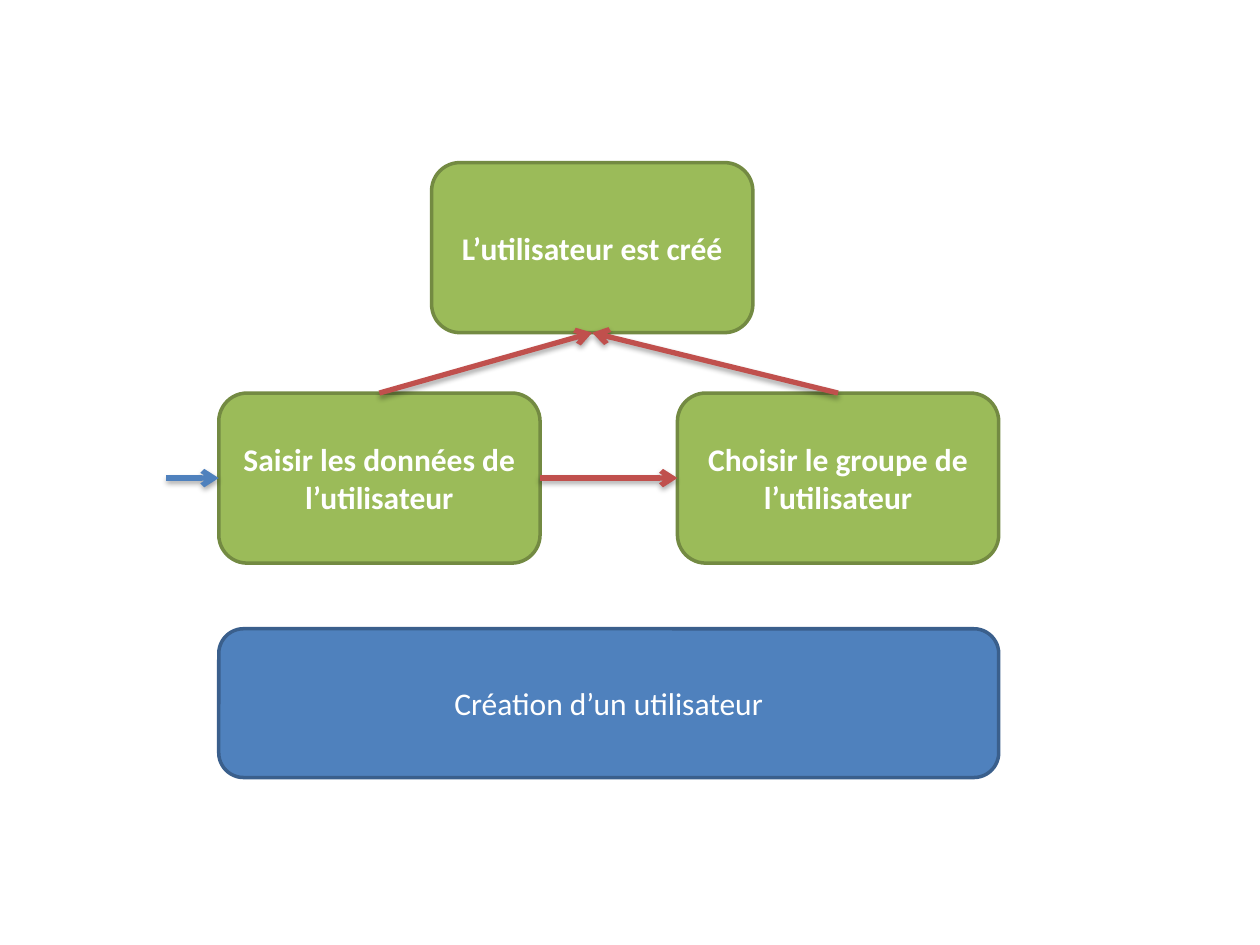
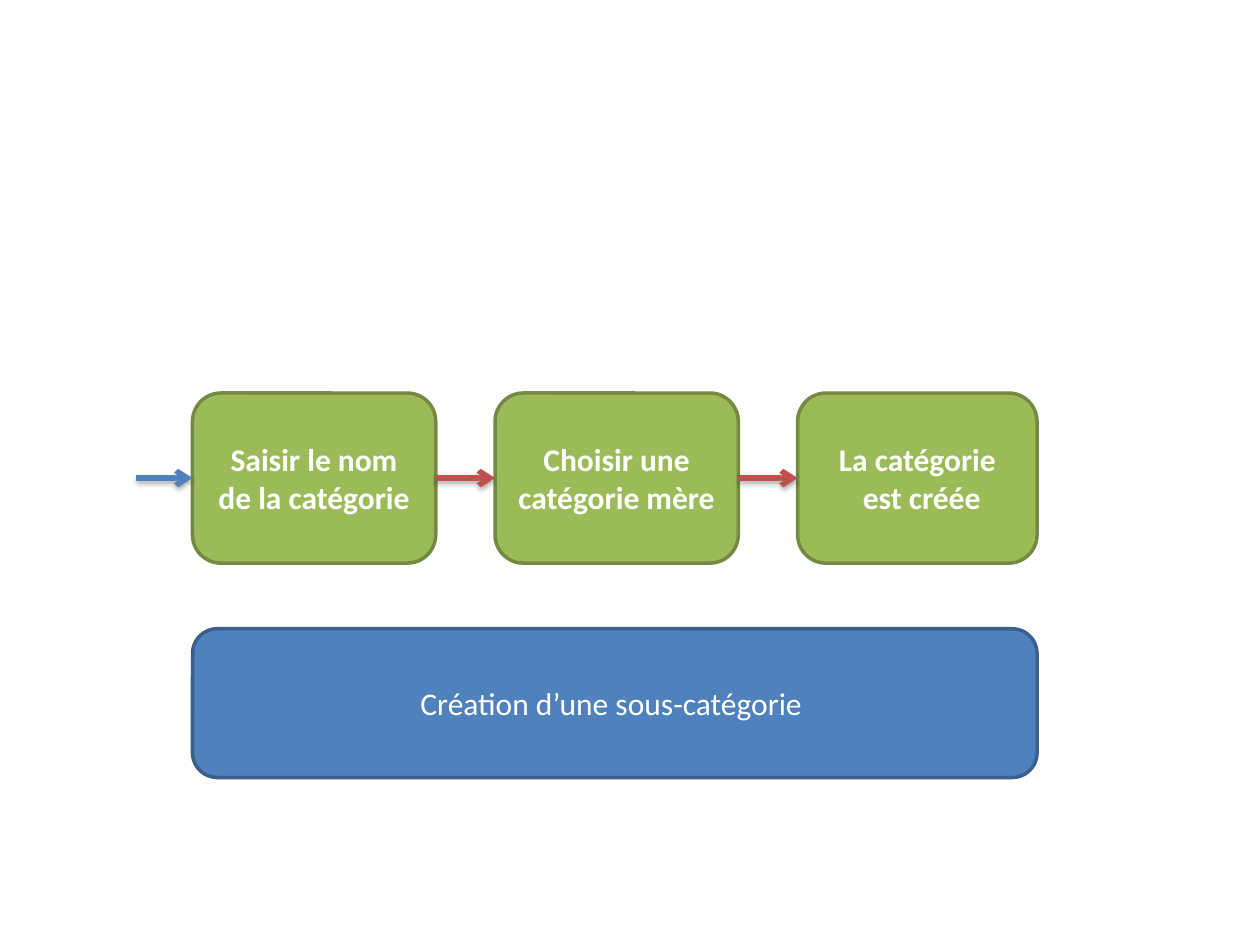
import dataclasses
import pptx
import pptx.dml.color
import pptx.enum.shapes
import pptx.enum.text
import pptx.oxml
import pptx.oxml.ns
import pptx.util

Pt = pptx.util.Pt
TOP, LEFT, BOTTOM, RIGHT = range(4)


@dataclasses.dataclass(frozen=True)
class Theme:
    font: str = "Calibri"
    size: float = 18
    text: str = "FFFFFF"
    blue: str = "4F81BD"
    navy: str = "3A5F8C"
    green: str = "9BBB59"
    olive: str = "738A42"
    red: str = "C0504D"
    edge: float = 2
    arrow: float = 3


@dataclasses.dataclass(frozen=True)
class Box:
    left: float
    top: float
    width: float
    height: float


THEME = Theme()
STEP_H = 97.2
BAND_H = 85
SHADOW = (
    f'<a:effectLst {pptx.oxml.ns.nsdecls("a")}>'
    '<a:outerShdw blurRad="40000" dist="23000" dir="5400000" rotWithShape="0">'
    '<a:srgbClr val="000000"><a:alpha val="35000"/></a:srgbClr>'
    "</a:outerShdw></a:effectLst>"
)


def color(code):
    return pptx.dml.color.RGBColor.from_string(code)


def add_block(slide, box, text, fill, line, bold=False, rtl=False):
    block = slide.shapes.add_shape(
        pptx.enum.shapes.MSO_SHAPE.FLOWCHART_ALTERNATE_PROCESS,
        Pt(box.left), Pt(box.top), Pt(box.width), Pt(box.height))
    block.shadow.inherit = False
    block.fill.solid()
    block.fill.fore_color.rgb = color(fill)
    block.line.color.rgb = color(line)
    block.line.width = Pt(THEME.edge)
    frame = block.text_frame
    frame.word_wrap = True
    frame.vertical_anchor = pptx.enum.text.MSO_ANCHOR.MIDDLE
    frame.text = text
    para = frame.paragraphs[0]
    para.alignment = pptx.enum.text.PP_ALIGN.CENTER
    if rtl:
        para._p.get_or_add_pPr().set("rtl", "1")
    font = para.runs[0].font
    font.name = THEME.font
    font.size = Pt(THEME.size)
    font.bold = bold
    font.color.rgb = color(THEME.text)
    return block


def add_step(slide, box, text, rtl=False):
    return add_block(slide, box, text, THEME.green, THEME.olive, True, rtl)


def add_arrow(slide, x, y, goal, side, tint):
    """Draw an arrow from a point (in EMU) to the middle of a side of goal."""
    arrow = slide.shapes.add_connector(
        pptx.enum.shapes.MSO_CONNECTOR.STRAIGHT, x, y, x, y)
    arrow.end_connect(goal, side)
    arrow.line.color.rgb = color(tint)
    arrow.line.width = Pt(THEME.arrow)
    tail = pptx.oxml.parse_xml(
        f'<a:tailEnd {pptx.oxml.ns.nsdecls("a")} type="arrow"/>')
    arrow.line._get_or_add_ln().append(tail)
    arrow._element.spPr.append(pptx.oxml.parse_xml(SHADOW))
    return arrow


def join(slide, start, out, goal, side):
    arrow = add_arrow(slide, start.left, start.top, goal, side, THEME.red)
    arrow.begin_connect(start, out)


def add_flow(slide, box, caption, steps, lead):
    """Spread (text, width, rtl) steps over a band, with an entry arrow."""
    band = Box(box.left, box.top + box.height - BAND_H, box.width, BAND_H)
    add_block(slide, band, caption, THEME.blue, THEME.navy)
    gap = (box.width - sum(wide for _, wide, _ in steps)) / (len(steps) - 1)
    left, blocks = box.left, []
    for text, wide, rtl in steps:
        place = Box(left, box.top, wide, STEP_H)
        blocks.append(add_step(slide, place, text, rtl))
        left += wide + gap
    add_arrow(slide, Pt(box.left - lead), Pt(box.top + STEP_H / 2),
              blocks[0], LEFT, THEME.blue)
    for start, goal in zip(blocks, blocks[1:]):
        join(slide, start, RIGHT, goal, LEFT)
    return blocks


def add_user(slide, box):
    wide = 183.6
    steps = [("Saisir les données de l’utilisateur", wide, False),
             ("Choisir le groupe de l’utilisateur", wide, False)]
    blocks = add_flow(slide, box, "Création d’un utilisateur", steps, 30)
    place = Box(box.left + 121.6, box.top - 131.7, wide, STEP_H)
    result = add_step(slide, place, "L’utilisateur est créé", rtl=True)
    for block in blocks:
        join(slide, block, TOP, result, BOTTOM)


def add_group(slide, box):
    steps = [("Saisir le nom de la catégorie", 139, False),
             ("Choisir une catégorie mère", 139, False),
             ("La catégorie est créée ", 136.8, True)]
    add_flow(slide, box, "Création d’une sous-catégorie ", steps, 32)


def main():
    deck = pptx.Presentation()
    deck.slide_width, deck.slide_height = Pt(720), Pt(540)
    pages = [(add_user, Box(125, 224.6, 445.7, 219.7)),
             (add_group, Box(110, 224.6, 482.6, 219.7))]
    for draw, box in pages:
        draw(deck.slides.add_slide(deck.slide_layouts[6]), box)
    deck.save("out.pptx")


if __name__ == "__main__":
    main()
